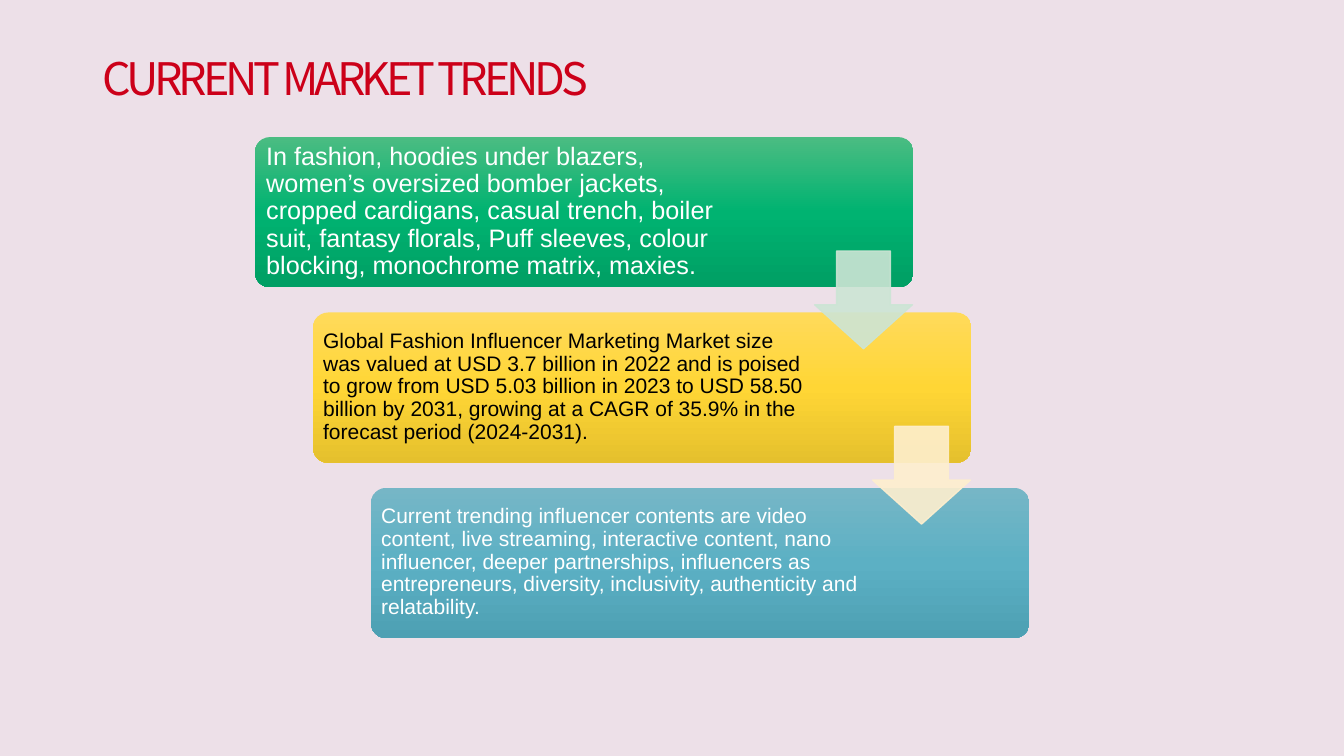
from copy import deepcopy
from dataclasses import dataclass

from pptx import Presentation
from pptx.dml.color import RGBColor
from pptx.enum.shapes import MSO_SHAPE as Shape
from pptx.enum.text import MSO_ANCHOR as Anchor
from pptx.oxml.ns import qn
from pptx.oxml.xmlchemy import OxmlElement
from pptx.util import Inches, Pt


@dataclass(frozen=True)
class Theme:
    background: str = "EDE0E8"
    title: str = "CC0019"
    white: str = "FFFFFF"
    black: str = "000000"
    green: tuple = ("4BBC82", "00B371", "009F64")
    yellow: tuple = ("FFDA5B", "FFD635", "E5C02D")
    blue: tuple = ("76B6C6", "5CB0C4", "4DA0B3")
    pale_green: str = "CCE5D5"
    pale_yellow: str = "FEEFCE"
    title_font: str = "Noto Sans CJK KR"
    body_font: str = "Arial"
    title_size: int = 32
    large_size: int = 18
    body_size: int = 15


THEME = Theme()
STEP_LEFT, STEP_TOP = 2.53, 1.36
STEP_RIGHT, STEP_DOWN = 0.575, 1.74
ARROW_LEFT, ARROW_TOP, ARROW_SIZE = 8.08, 2.49, 0.97

STEPS = [
    ("In fashion, hoodies under blazers, women’s oversized bomber jackets, "
     "cropped cardigans, casual trench, boiler suit, fantasy florals, Puff sleeves, "
     "colour blocking, monochrome matrix, maxies.",
     THEME.green, THEME.white, THEME.large_size, 4.92, 0.07),
    ("Global Fashion Influencer Marketing Market size was valued at USD 3.7 billion "
     "in 2022 and is poised to grow from USD 5.03 billion in 2023 to USD 58.50 billion "
     "by 2031, growing at a CAGR of 35.9% in the forecast period (2024-2031).",
     THEME.yellow, THEME.black, THEME.body_size, 4.89, 0.06),
    ("Current trending influencer contents are video content, live streaming, "
     "interactive content, nano influencer, deeper partnerships, influencers as "
     "entrepreneurs, diversity, inclusivity, authenticity and relatability.",
     THEME.blue, THEME.white, THEME.body_size, 4.89, 0.06),
]


def rgb(color):
    return RGBColor.from_string(color)


def add_text(page, text, place, insets, anchor, font, size, color):
    box = page.shapes.add_textbox(*map(Inches, place))
    frame = box.text_frame
    frame.word_wrap = True
    frame.vertical_anchor = anchor
    frame.margin_left, frame.margin_top, frame.margin_right, frame.margin_bottom = map(Inches, insets)
    para = frame.paragraphs[0]
    span = para.add_run()
    span.text = text
    para.font.name = font
    para.font.size = Pt(size)
    para.font.color.rgb = rgb(color)
    return para


def add_title(page, text):
    para = add_text(page, text, (0.92, 0.4, 11.5, 0.64), (0.1, 0.05, 0.1, 0),
                    Anchor.BOTTOM, THEME.title_font, THEME.title_size, THEME.title)
    para.runs[0].font._element.set("spc", "-300")


def fill_gradient(shape, colors):
    fill = shape.fill
    fill.gradient()
    fill.gradient_angle = 270
    stop_list = shape._element.spPr.find(qn("a:gradFill")).find(qn("a:gsLst"))
    stop_list.append(deepcopy(stop_list[0]))
    for index, (stop, color) in enumerate(zip(fill.gradient_stops, colors)):
        stop.position = index / 2
        stop.color.rgb = rgb(color)


def add_step(page, index, text, gradient, color, size, text_width, inset):
    left = STEP_LEFT + index * STEP_RIGHT
    top = STEP_TOP + index * STEP_DOWN
    card = page.shapes.add_shape(Shape.ROUNDED_RECTANGLE, Inches(left), Inches(top),
                                 Inches(6.53), Inches(1.49))
    card.adjustments[0] = 0.1
    card.shadow.inherit = False
    card.line.fill.background()
    fill_gradient(card, gradient)
    para = add_text(page, text, (left + 0.04, top + 0.04, text_width, 1.4), (inset,) * 4,
                    Anchor.MIDDLE, THEME.body_font, size, color)
    para.line_spacing = 0.9


def add_arrow(page, index, color):
    arrow = page.shapes.add_shape(Shape.DOWN_ARROW,
                                  Inches(ARROW_LEFT + index * STEP_RIGHT),
                                  Inches(ARROW_TOP + index * STEP_DOWN),
                                  Inches(ARROW_SIZE), Inches(ARROW_SIZE))
    arrow.adjustments[0] = 0.55
    arrow.adjustments[1] = 0.45
    arrow.shadow.inherit = False
    arrow.line.width = Pt(1)
    for fill in (arrow.fill, arrow.line.fill):
        fill.solid()
        fill.fore_color.rgb = rgb(color)
    for tint in arrow._element.spPr.iter(qn("a:srgbClr")):
        alpha = OxmlElement("a:alpha")
        alpha.set("val", "90000")
        tint.append(alpha)


def main():
    deck = Presentation()
    deck.slide_width, deck.slide_height = Inches(13.33), Inches(7.5)
    page = deck.slides.add_slide(deck.slide_layouts[6])
    page.background.fill.solid()
    page.background.fill.fore_color.rgb = rgb(THEME.background)
    add_title(page, "CURRENT MARKET TRENDS")
    for index, step in enumerate(STEPS):
        add_step(page, index, *step)
    for index, color in enumerate((THEME.pale_green, THEME.pale_yellow)):
        add_arrow(page, index, color)
    deck.save("out.pptx")


if __name__ == "__main__":
    main()
